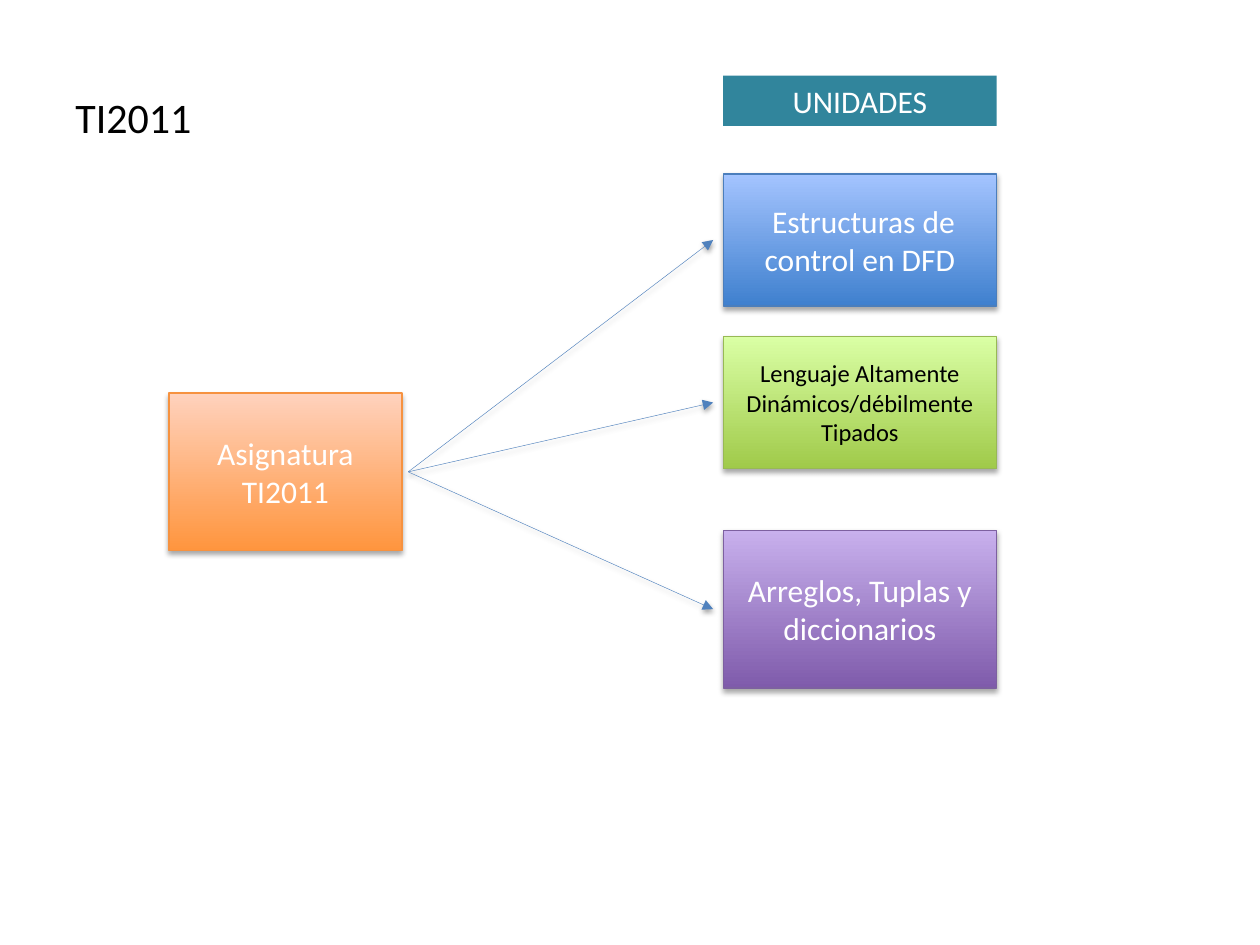
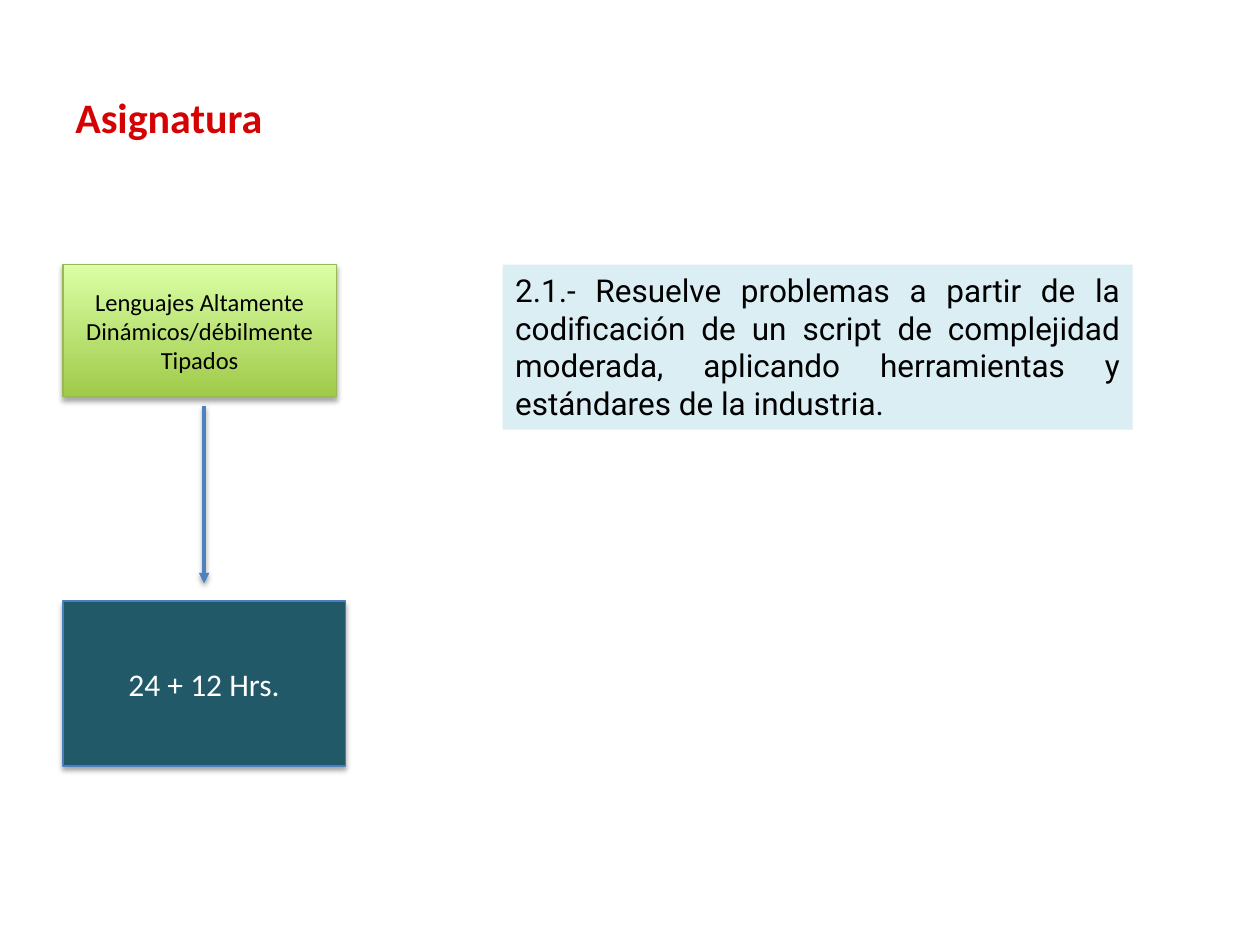
from lxml import etree
from pptx import Presentation
from pptx.dml.color import RGBColor
from pptx.enum.shapes import MSO_CONNECTOR, MSO_SHAPE
from pptx.enum.text import MSO_ANCHOR, PP_ALIGN
from pptx.oxml import parse_xml
from pptx.oxml.ns import qn
from pptx.util import Inches, Pt

RECTANGLE = MSO_SHAPE.RECTANGLE
STRAIGHT = MSO_CONNECTOR.STRAIGHT
TOP, MIDDLE = MSO_ANCHOR.TOP, MSO_ANCHOR.MIDDLE
LEFT, CENTER, JUSTIFY = PP_ALIGN.LEFT, PP_ALIGN.CENTER, PP_ALIGN.JUSTIFY

BLACK, WHITE, RED = "000000", "FFFFFF", "D40202"
TEAL, DARK_TEAL, PALE_TEAL = "31859C", "215968", "DBEEF4"
ARROW_BLUE, BORDER_BLUE = "4F81BD", "4B7EBC"

ORANGE_STYLE = {"fill": ("FF953E", "FFD2BD"), "border": "F69240"}
BLUE_STYLE = {"fill": ("3F80CE", "A4C4FF"), "border": BORDER_BLUE}
GREEN_STYLE = {"fill": ("A0CA4A", "DAFFA5"), "border": "98B955", "size": 14, "color": BLACK}
PURPLE_STYLE = {"fill": ("7F5BAB", "C8B0ED"), "border": "7D60A0"}

TITLE_BOX = (0.5, 0.3, 9, 1.25)
UNIT_WIDTH, UNIT_HEIGHT = 2.17, 1.05
UNITS = [
    (" Estructuras de control en DFD", 1.38, UNIT_HEIGHT, BLUE_STYLE),
    ("Lenguaje Altamente Dinámicos/débilmente Tipados", 2.67, UNIT_HEIGHT, GREEN_STYLE),
    ("Arreglos, Tuplas y diccionarios", 4.21, 1.25, PURPLE_STYLE),
]
OUTCOME = ("2.1.- Resuelve problemas a partir de la codificación de un script de complejidad "
           "moderada, aplicando herramientas y estándares de la industria.")


def rgb(value):
    """Turn a hex string into a colour."""
    return RGBColor.from_string(value)


def write_text(shape, text, size=18, color=WHITE, font="Calibri", bold=False,
               align=CENTER, anchor=MIDDLE):
    """Write one formatted paragraph into a shape."""
    frame = shape.text_frame
    frame.word_wrap = True
    frame.vertical_anchor = anchor
    paragraph = frame.paragraphs[0]
    paragraph.text = text
    paragraph.alignment = align
    for run in paragraph.runs:
        run.font.name = font
        run.font.size = Pt(size)
        run.font.bold = bold
        run.font.color.rgb = rgb(color)


def add_shadow(shape, opacity, distance):
    """Append a soft downward shadow to a shape or connector."""
    properties = shape._element.spPr
    effects = etree.SubElement(properties, qn("a:effectLst"))
    effects.append(parse_xml(
        '<a:outerShdw xmlns:a="http://schemas.openxmlformats.org/drawingml/2006/main" '
        f'blurRad="{Pt(3.1)}" dist="{Pt(distance)}" dir="5400000" rotWithShape="0">'
        f'<a:srgbClr val="{BLACK}"><a:alpha val="{opacity * 1000}"/></a:srgbClr>'
        '</a:outerShdw>'))


def add_box(slide, box, text, fill, border=None, **text_format):
    """Add a rectangle with a flat or gradient fill; bordered ones cast a shadow."""
    shape = slide.shapes.add_shape(RECTANGLE, *map(Inches, box))
    if isinstance(fill, tuple):
        shape.fill.gradient()
        shape.fill.gradient_angle = 90
        for stop, color in zip(shape.fill.gradient_stops, fill):
            stop.color.rgb = rgb(color)
    else:
        shape.fill.solid()
        shape.fill.fore_color.rgb = rgb(fill)
    if border:
        shape.line.color.rgb = rgb(border)
        shape.line.width = Pt(0.75)
        add_shadow(shape, 35, 1.8)
    else:
        shape.line.fill.background()
        shape.shadow.inherit = False
    write_text(shape, text, **text_format)


def add_arrow(slide, start, end, width=0.25):
    """Add a blue arrow between two points."""
    arrow = slide.shapes.add_connector(STRAIGHT, *map(Inches, (*start, *end)))
    arrow.line.color.rgb = rgb(ARROW_BLUE)
    arrow.line.width = Pt(width)
    etree.SubElement(arrow.line._get_or_add_ln(), qn("a:tailEnd"), type="triangle")
    add_shadow(arrow, 38, 1.6)


def add_slide(presentation, title, **title_format):
    """Add a blank slide with its title."""
    slide = presentation.slides.add_slide(presentation.slide_layouts[6])
    text_box = slide.shapes.add_textbox(*map(Inches, TITLE_BOX))
    write_text(text_box, title, size=24, align=LEFT, **title_format)
    return slide


def add_subject(slide, box):
    """Add the subject box and return the point where its arrows start."""
    left, top, width, height = box
    add_box(slide, box, "Asignatura\nTI2011", **ORANGE_STYLE)
    return left + width + 0.05, top + height / 2


def add_units(slide, left, top, arrow_start):
    """Add the units column under its heading, with an arrow to each unit."""
    add_box(slide, (left, top, UNIT_WIDTH, 0.4), "UNIDADES", TEAL, anchor=TOP)
    for text, unit_top, height, style in UNITS:
        add_arrow(slide, arrow_start, (left - 0.08, unit_top + height / 2))
        add_box(slide, (left, unit_top, UNIT_WIDTH, height), text, **style)


def add_unit_hours(slide, left, top):
    """Add a unit with an arrow down to its number of hours."""
    unit_bottom = top + UNIT_HEIGHT
    hours_top = top + 2.67
    arrow_x = left + 1.12
    add_box(slide, (left, top, UNIT_WIDTH, UNIT_HEIGHT),
            "Lenguajes Altamente Dinámicos/débilmente Tipados", **GREEN_STYLE)
    add_arrow(slide, (arrow_x, unit_bottom + 0.07), (arrow_x, hours_top - 0.14), width=2)
    add_box(slide, (left, hours_top, 2.24, 1.31), "24 + 12 Hrs.", DARK_TEAL, BORDER_BLUE)


def build_units_slide(presentation):
    """Build the slide that links the subject to its units."""
    slide = add_slide(presentation, "TI2011", color=BLACK)
    arrow_start = add_subject(slide, (1.34, 3.12, 1.85, 1.25))
    add_units(slide, 5.74, 0.6, arrow_start)


def build_outcome_slide(presentation):
    """Build the slide with one unit, its hours and its learning outcome."""
    slide = add_slide(presentation, "Asignatura", color=RED, bold=True)
    add_unit_hours(slide, 0.5, 2.1)
    add_box(slide, (3.99, 2.1, 5, 1.31), OUTCOME, PALE_TEAL, color=BLACK,
            font="Roboto", align=JUSTIFY, anchor=TOP)


def main():
    """Build and save the presentation."""
    presentation = Presentation()
    presentation.slide_width = Inches(10)
    presentation.slide_height = Inches(7.5)
    build_units_slide(presentation)
    build_outcome_slide(presentation)
    presentation.save("out.pptx")


if __name__ == "__main__":
    main()
